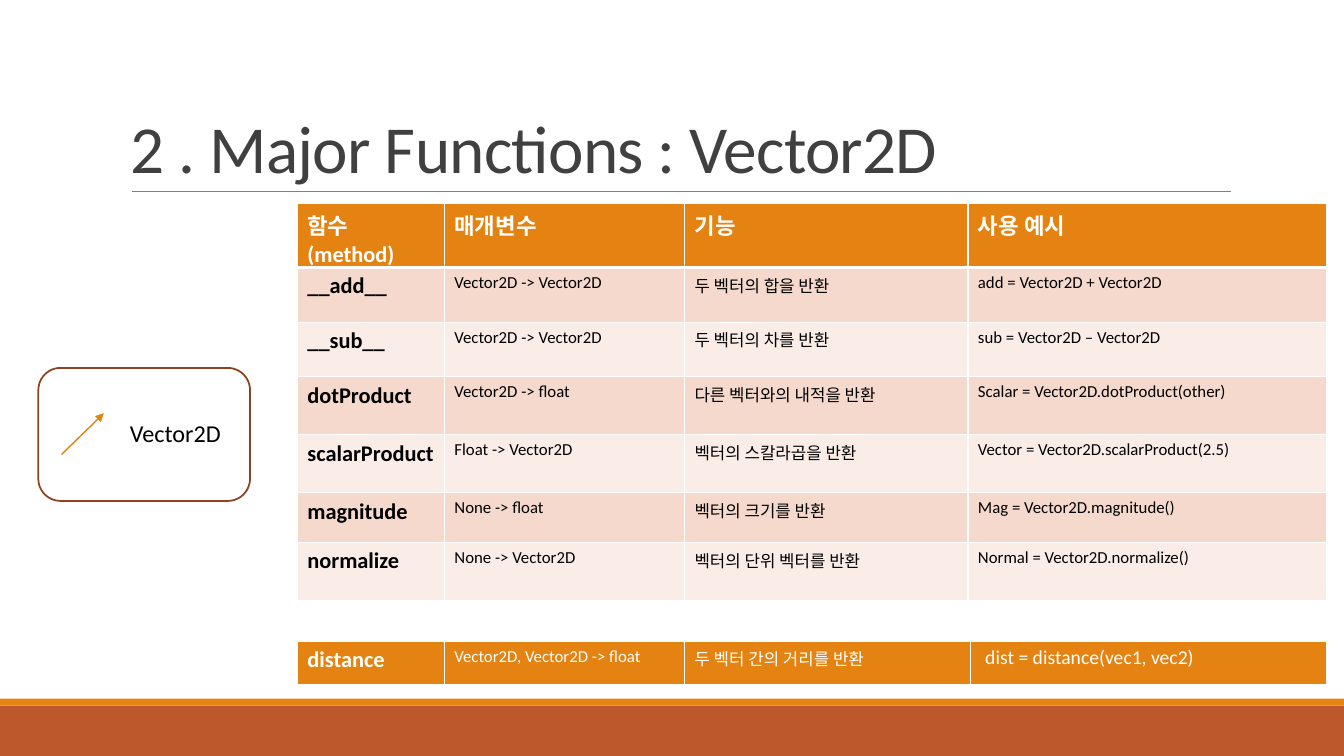
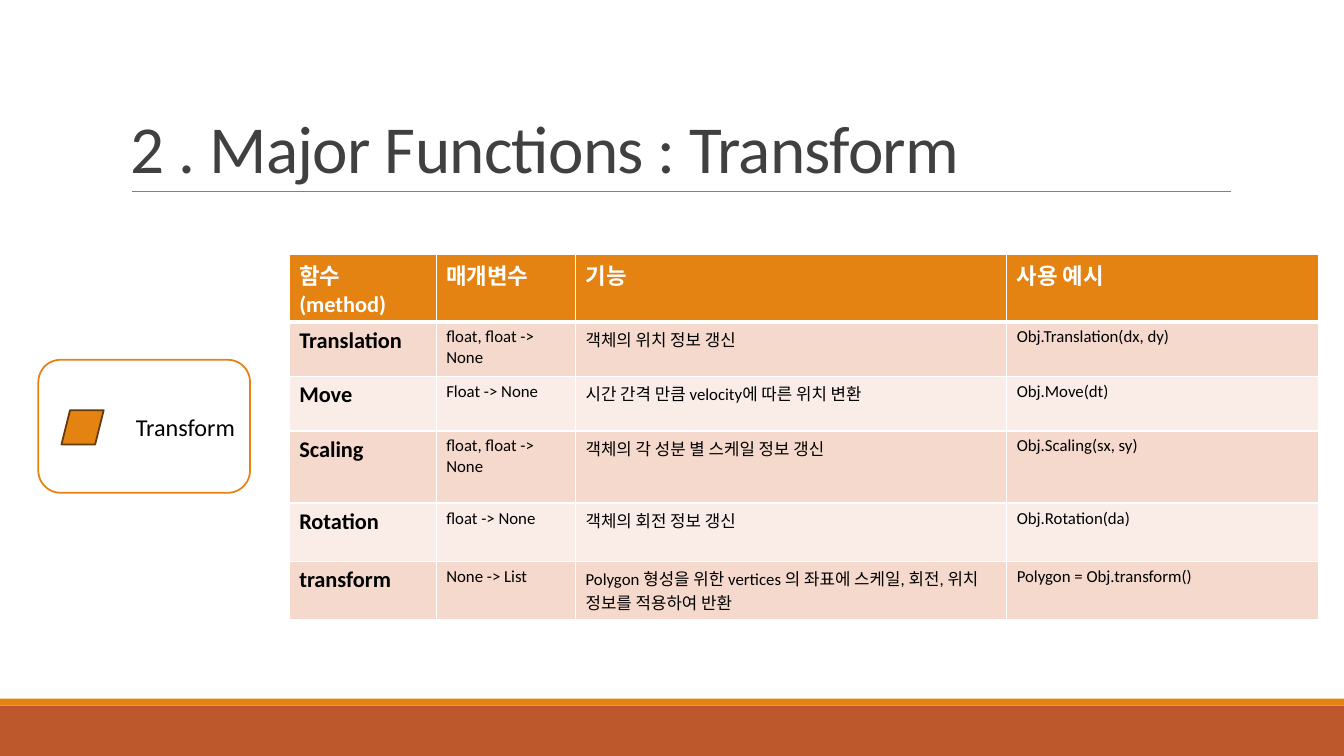
from dataclasses import dataclass

from lxml import etree
from pptx import Presentation
from pptx import util as u
from pptx.dml import color
from pptx.enum import shapes, text
from pptx.oxml import ns

FONT = "Calibri"
ORANGE = "E48312"
RUST = "BD582C"
WHITE = "FFFFFF"
BLACK = "000000"
TITLE_GRAY = "404040"
RULE_GRAY = "808080"
BAND_FILLS = ("F5D9CC", "FAEDE7")
HEADER = ("함수(method)", "매개변수", "기능", "사용 예시")
NAME_SIZE = 16
DETAIL_SIZE = 12


@dataclass(frozen=True)
class Box:
    left: float
    top: float
    width: float
    height: float

    def emu(self) -> tuple:
        return tuple(u.Pt(n) for n in (self.left, self.top, self.width, self.height))


@dataclass(frozen=True)
class CellStyle:
    fill: str
    ink: str
    size: float
    bold: bool
    bottom: float = 1


@dataclass(frozen=True)
class Grid:
    left: float
    top: float
    columns: tuple
    heights: tuple
    rows: tuple


@dataclass(frozen=True)
class Badge:
    frame: Box
    outline: str
    label: str
    label_box: Box


@dataclass(frozen=True)
class Topic:
    title: str
    badge: Badge
    methods: Grid


VECTOR = Topic(
    "2 . Major Functions : Vector2D",
    Badge(Box(27.4, 262.8, 151.2, 95), "8E4221", "Vector2D", Box(85.7, 295.2, 81.4, 28)),
    Grid(212.4, 145.5, (105, 171.5, 202.5, 256.5), (36, 39, 39, 41.5, 41.5, 35.5, 41.5), (
        ("__add__", "Vector2D -> Vector2D", "두 벡터의 합을 반환", "add = Vector2D + Vector2D"),
        ("__sub__", "Vector2D -> Vector2D", "두 벡터의 차를 반환", "sub = Vector2D – Vector2D"),
        ("dotProduct", "Vector2D -> float", "다른 벡터와의 내적을 반환",
         "Scalar = Vector2D.dotProduct(other)"),
        ("scalarProduct", "Float -> Vector2D", "벡터의 스칼라곱을 반환",
         "Vector = Vector2D.scalarProduct(2.5)"),
        ("magnitude", "None -> float", "벡터의 크기를 반환", "Mag = Vector2D.magnitude()"),
        ("normalize", "None -> Vector2D", "벡터의 단위 벡터를 반환",
         "Normal = Vector2D.normalize()"),
    )),
)
DISTANCE = Grid(212.4, 458, (105, 171.5, 204.5, 254.5), (32,), (
    ("distance", "Vector2D, Vector2D -> float", "두 벡터 간의 거리를 반환",
     " dist = distance(vec1, vec2)"),
))
TRANSFORM = Topic(
    "2 . Major Functions : Transform",
    Badge(Box(27.4, 257, 151.2, 95), ORANGE, "Transform", Box(90, 291, 88.6, 28)),
    Grid(206.6, 181.4, (105, 99.5, 308, 223), (48.5, 39, 39, 51.5, 41.5, 41.5), (
        ("Translation", "float, float -> None", "객체의 위치 정보 갱신", "Obj.Translation(dx, dy)"),
        ("Move", "Float -> None", "시간 간격 만큼 velocity에 따른 위치 변환", "Obj.Move(dt)"),
        ("Scaling", "float, float -> None", "객체의 각 성분 별 스케일 정보 갱신",
         "Obj.Scaling(sx, sy)"),
        ("Rotation", "float -> None", "객체의 회전 정보 갱신", "Obj.Rotation(da)"),
        ("transform", "None -> List",
         "Polygon 형성을 위한 vertices 의 좌표에 스케일, 회전, 위치 정보를 적용하여 반환",
         "Polygon = Obj.transform()"),
    )),
)


def rgb(value: str) -> color.RGBColor:
    return color.RGBColor.from_string(value)


def set_font(paragraph, size: float, ink: str, bold: bool = False) -> None:
    font = paragraph.font
    font.name, font.size, font.bold = FONT, u.Pt(size), bold
    font.color.rgb = rgb(ink)


def add_box(slide, kind, box: Box, fill: str, outline: str = ""):
    shape = slide.shapes.add_shape(kind, *box.emu())
    shape.shadow.inherit = False
    shape.fill.solid()
    shape.fill.fore_color.rgb = rgb(fill)
    if outline:
        shape.line.color.rgb = rgb(outline)
        shape.line.width = u.Pt(1.25)
    else:
        shape.line.fill.background()
    return shape


def add_line(slide, start: tuple, end: tuple, ink: str, width: float, arrow: bool = False) -> None:
    points = [u.Pt(n) for n in (*start, *end)]
    line = slide.shapes.add_connector(shapes.MSO_CONNECTOR.STRAIGHT, *points)
    line.line.color.rgb = rgb(ink)
    line.line.width = u.Pt(width)
    if arrow:
        etree.SubElement(line.line._get_or_add_ln(), ns.qn("a:tailEnd"), type="triangle")
    etree.SubElement(line._element.spPr, ns.qn("a:effectLst"))


def add_text(slide, box: Box, words: str, size: float, ink: str):
    frame = slide.shapes.add_textbox(*box.emu()).text_frame
    frame.word_wrap = True
    paragraph = frame.paragraphs[0]
    paragraph.text = words
    set_font(paragraph, size, ink)
    return frame


def add_title(slide, title: str) -> None:
    frame = add_text(slide, Box(86.4, 22.5, 792, 114.5), title, 48, TITLE_GRAY)
    frame.vertical_anchor = text.MSO_ANCHOR.BOTTOM
    paragraph = frame.paragraphs[0]
    paragraph.line_spacing = 0.85
    paragraph.runs[0]._r.get_or_add_rPr().set("spc", "-50")


def add_badge(slide, badge: Badge) -> None:
    add_box(slide, shapes.MSO_SHAPE.ROUNDED_RECTANGLE, badge.frame, WHITE, badge.outline)
    frame = add_text(slide, badge.label_box, badge.label, 17.3, BLACK)
    frame.auto_size = text.MSO_AUTO_SIZE.SHAPE_TO_FIT_TEXT
    frame.paragraphs[0].space_after = u.Pt(6)


def set_borders(cell, bottom: float) -> None:
    properties = cell._tc.get_or_add_tcPr()
    widths = {"lnL": 1, "lnR": 1, "lnT": 1, "lnB": bottom}
    for index, (side, width) in enumerate(widths.items()):
        line = etree.Element(ns.qn(f"a:{side}"), w=str(u.Pt(width)))
        fill = etree.SubElement(line, ns.qn("a:solidFill"))
        etree.SubElement(fill, ns.qn("a:srgbClr"), val=WHITE)
        properties.insert(index, line)


def style_cell(cell, words: str, style: CellStyle) -> None:
    cell.fill.solid()
    cell.fill.fore_color.rgb = rgb(style.fill)
    set_borders(cell, style.bottom)
    paragraph = cell.text_frame.paragraphs[0]
    paragraph.text = words
    set_font(paragraph, style.size, style.ink, style.bold)


def add_grid(slide, grid: Grid, rows: list) -> None:
    box = Box(grid.left, grid.top, sum(grid.columns), sum(grid.heights))
    table = slide.shapes.add_table(len(rows), len(grid.columns), *box.emu()).table
    table.first_row = table.horz_banding = False
    for column, width in zip(table.columns, grid.columns):
        column.width = u.Pt(width)
    for row, height, (words, styles) in zip(table.rows, grid.heights, rows):
        row.height = u.Pt(height)
        for cell, word, style in zip(row.cells, words, styles):
            style_cell(cell, word, style)


def add_methods(slide, grid: Grid) -> None:
    rows = [(HEADER, [CellStyle(ORANGE, WHITE, NAME_SIZE, True, 3)] * 4)]
    for index, words in enumerate(grid.rows):
        fill = BAND_FILLS[index % 2]
        name = CellStyle(fill, BLACK, NAME_SIZE, True)
        detail = CellStyle(fill, BLACK, DETAIL_SIZE, False)
        rows.append((words, [name] + [detail] * 3))
    add_grid(slide, grid, rows)


def add_distance(slide) -> None:
    sizes = (NAME_SIZE, DETAIL_SIZE, DETAIL_SIZE, 14)
    styles = [CellStyle(ORANGE, WHITE, size, size == NAME_SIZE, 3) for size in sizes]
    add_grid(slide, DISTANCE, [(DISTANCE.rows[0], styles)])


def add_topic(presentation, topic: Topic):
    slide = presentation.slides.add_slide(presentation.slide_layouts[6])
    add_box(slide, shapes.MSO_SHAPE.RECTANGLE, Box(0, 504, 960, 36), RUST)
    add_box(slide, shapes.MSO_SHAPE.RECTANGLE, Box(0, 499, 960, 5), ORANGE)
    add_line(slide, (94.3, 136.8), (879, 136.8), RULE_GRAY, 0.5)
    add_title(slide, topic.title)
    add_badge(slide, topic.badge)
    add_methods(slide, topic.methods)
    return slide


def main() -> None:
    presentation = Presentation()
    presentation.slide_width, presentation.slide_height = u.Pt(960), u.Pt(540)
    vector_slide = add_topic(presentation, VECTOR)
    add_line(vector_slide, (43.9, 324.7), (74.2, 295.2), ORANGE, 1, arrow=True)
    add_distance(vector_slide)
    transform_slide = add_topic(presentation, TRANSFORM)
    add_box(transform_slide, shapes.MSO_SHAPE.PARALLELOGRAM, Box(43.9, 293, 30.2, 24.5),
            ORANGE, "643908")
    presentation.save("out.pptx")


if __name__ == "__main__":
    main()
